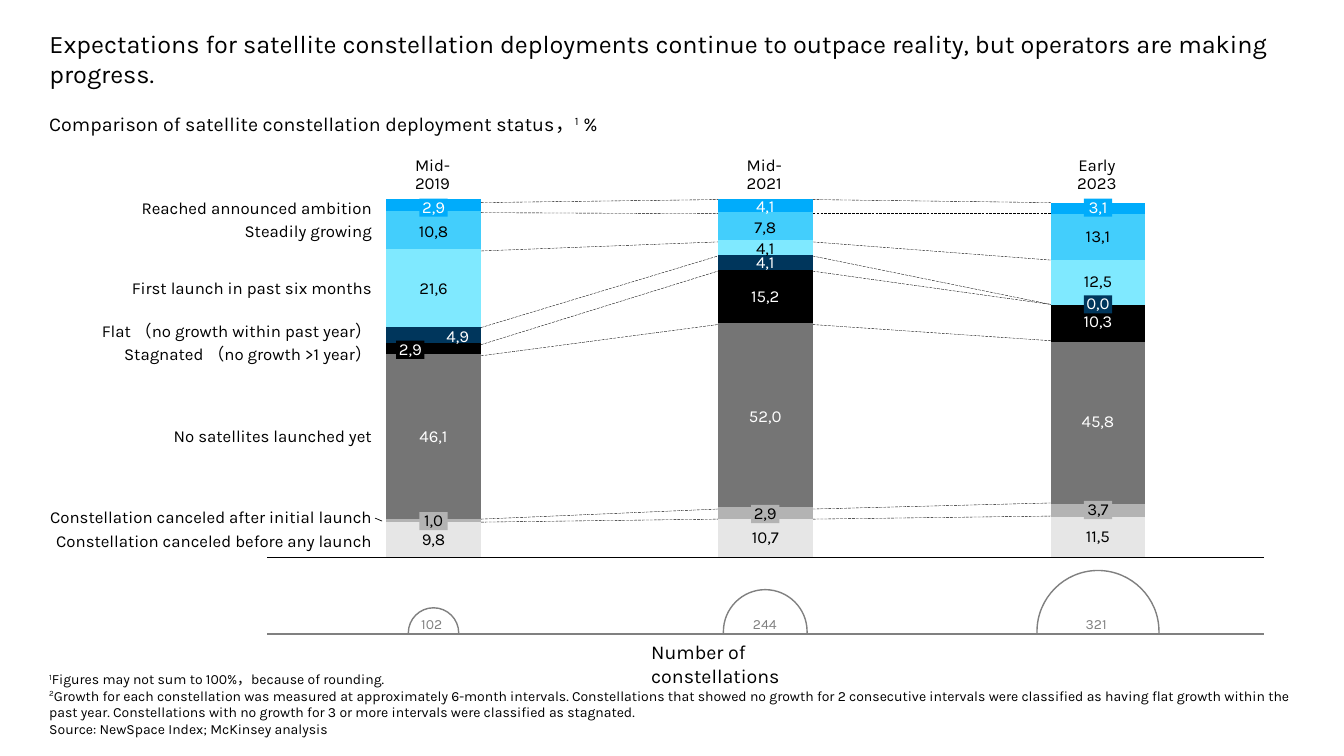
"""Build the slide on satellite constellation deployment status."""
from typing import NamedTuple

from lxml.etree import SubElement
from pptx import Presentation
from pptx.chart.data import CategoryChartData
from pptx.dml.color import RGBColor
from pptx.enum.chart import XL_CHART_TYPE, XL_TICK_LABEL_POSITION, XL_TICK_MARK
from pptx.enum.dml import MSO_LINE
from pptx.enum.shapes import MSO_CONNECTOR, MSO_SHAPE
from pptx.enum.text import MSO_ANCHOR, MSO_AUTO_SIZE, PP_ALIGN
from pptx.oxml import parse_xml
from pptx.oxml.ns import nsdecls, qn
from pptx.util import Pt

PX = 9144
FONT = "Karla"
BLACK = RGBColor(0, 0, 0)
WHITE = RGBColor(0xFF, 0xFF, 0xFF)
GRAY = RGBColor(0x80, 0x80, 0x80)
BLUE = RGBColor(0x00, 0xAC, 0xFB)
SKY = RGBColor(0x43, 0xCE, 0xFC)
CYAN = RGBColor(0x7F, 0xE9, 0xFF)
NAVY = RGBColor(0x00, 0x36, 0x5C)
DARK_GRAY = RGBColor(0x75, 0x75, 0x75)
SILVER = RGBColor(0xB3, 0xB3, 0xB3)
PALE = RGBColor(0xE6, 0xE6, 0xE6)


class Segment(NamedTuple):
    name: str
    top: int
    color: RGBColor
    ink: RGBColor
    counts: tuple


class Value(NamedTuple):
    text: str
    top: int
    chip: bool = False
    shift: int = 0


class Year(NamedTuple):
    label: str
    center: int
    edges: tuple
    values: tuple
    total: str
    dome_width: int
    dome_top: int


SEGMENTS = (
    Segment("Reached announced ambition", 198, BLUE, WHITE, (6, 8, 6)),
    Segment("Steadily growing", 221, SKY, BLACK, (21, 15, 25)),
    Segment("First launch in past six months", 278, CYAN, BLACK, (42, 8, 24)),
    Segment("Flat （no growth within past year）", 320, NAVY, WHITE, (9, 8, 0)),
    Segment("Stagnated （no growth >1 year）", 343, BLACK, WHITE, (6, 29, 20)),
    Segment("No satellites launched yet", 425, DARK_GRAY, WHITE, (89, 100, 88)),
    Segment("Constellation canceled after initial launch", 505, SILVER, BLACK, (2, 6, 7)),
    Segment("Constellation canceled before any launch", 529, PALE, BLACK, (19, 21, 22)),
)
YEARS = (
    Year("Mid-\v2019", 430, (201, 211, 249, 325, 342, 353, 515, 518),
         (Value("2,9", 197, True), Value("10,8", 221), Value("21,6", 278),
          Value("4,9", 325, shift=24), Value("2,9", 338, True, -23),
          Value("46,1", 425), Value("1,0", 508, True), Value("9,8", 527)),
         "102", 50, 603),
    Year("Mid-\v2021", 759, (198, 212, 240, 254, 269, 322, 505, 515),
         (Value("4,1", 196), Value("7,8", 217), Value("4,1", 238), Value("4,1", 252),
          Value("15,2", 286), Value("52,0", 405), Value("2,9", 501, True),
          Value("10,7", 525)),
         "244", 83, 585),
    Year("Early\v2023", 1089, (201, 212, 258, 302, 302, 338, 499, 512),
         (Value("3,1", 197, True), Value("13,1", 226), Value("12,5", 271),
          Value("0,0", 293, True), Value("10,3", 311), Value("45,8", 410),
          Value("3,7", 497, True), Value("11,5", 524)),
         "321", 121, 566),
)
NOTES = (
    (("1", True), ("Figures may not sum to 100%，because of rounding.", False)),
    (("2", True), ("Growth for each constellation was measured at approximately 6-month "
                   "intervals. Constellations that showed no growth for 2 consecutive "
                   "intervals were classified as having flat growth within the past year. "
                   "Constellations with no growth for 3 or more intervals were classified "
                   "as stagnated.", False)),
    (("Source: NewSpace Index; McKinsey analysis", False),),
)
LABEL_LEFT, LABEL_WIDTH = 29, 340
HALF_BAR = 47
DOME_BASE = 629
ARC_HANDLE = 0.55


def emu(*lengths):
    """Turn px lengths into EMU."""
    return [round(length * PX) for length in lengths]


def style_span(span, size, color):
    """Format one run."""
    span.font.name = FONT
    span.font.size = Pt(size)
    span.font.color.rgb = color


def add_rich_text(page, bounds, paragraphs, size):
    """Add a wrapping box of paragraphs made of (text, raised) runs."""
    frame = page.shapes.add_textbox(*emu(*bounds)).text_frame
    frame.word_wrap = True
    for index, spans in enumerate(paragraphs):
        para = frame.add_paragraph() if index else frame.paragraphs[0]
        for text, raised in spans:
            span = para.add_run()
            span.text = text
            style_span(span, size, BLACK)
            if raised:
                span.font._element.set("baseline", "30000")


def add_label(page, bounds, text, align=PP_ALIGN.CENTER, color=BLACK, fill=None,
              anchor=MSO_ANCHOR.MIDDLE):
    """Add a tight chart label, on a filled chip if a fill is given."""
    if fill is None:
        box = page.shapes.add_textbox(*emu(*bounds))
    else:
        box = page.shapes.add_shape(MSO_SHAPE.RECTANGLE, *emu(*bounds))
        box.shadow.inherit = False
        box.fill.solid()
        box.fill.fore_color.rgb = fill
        box.line.fill.background()
    frame = box.text_frame
    frame.word_wrap = False
    frame.vertical_anchor = anchor
    frame.margin_left = frame.margin_right = 0
    frame.margin_top = frame.margin_bottom = 0
    frame.text = text
    para = frame.paragraphs[0]
    para.alignment = align
    para.line_spacing = 0.9
    for span in para.runs:
        style_span(span, 12, color)


def add_line(page, start, end, width, color=BLACK, dash=None):
    """Add a straight line without shadow."""
    line = page.shapes.add_connector(MSO_CONNECTOR.STRAIGHT, *emu(*start, *end))
    line.line.color.rgb = color
    line.line.width = Pt(width)
    if dash is not None:
        line.line.dash_style = dash
    SubElement(line._element.spPr, qn("a:effectLst"))


def bend(segment, *points):
    """Turn a straight outline segment into a cubic curve."""
    segment.tag = qn("a:cubicBezTo")
    segment.remove(segment[0])
    for x, y in points:
        SubElement(segment, qn("a:pt"), x=str(round(x * PX)), y=str(round(y * PX)))


def add_dome(page, year):
    """Add a half-circle outline standing on the base line, with its total."""
    radius = year.dome_width / 2
    middle = year.dome_top + radius
    left, right = year.center - radius, year.center + radius
    builder = page.shapes.build_freeform(*emu(left, DOME_BASE))
    corners = ((left, middle), (year.center, year.dome_top), (right, middle),
               (right, DOME_BASE))
    builder.add_line_segments([emu(*corner) for corner in corners], close=True)
    dome = builder.convert_to_shape()
    rise, fall = list(dome._element.iter(qn("a:lnTo")))[1:3]
    near, far = radius * (1 - ARC_HANDLE), radius * (1 + ARC_HANDLE)
    bend(rise, (0, near), (near, 0), (radius, 0))
    bend(fall, (far, 0), (2 * radius, near), (2 * radius, radius))
    dome.shadow.inherit = False
    dome.fill.background()
    dome.line.color.rgb = GRAY
    dome.line.width = Pt(1)
    frame = page.shapes.add_textbox(*emu(year.center - 22, 606, 50, 27)).text_frame
    frame.text = year.total
    frame.word_wrap = False
    style_span(frame.paragraphs[0].runs[0], 10, GRAY)


def add_status_chart(page):
    """Add the stacked columns."""
    data = CategoryChartData()
    data.categories = ["1", "2", "3"]
    stack = SEGMENTS[::-1]
    for number, segment in enumerate(stack, 1):
        data.add_series(f"Series {number}", segment.counts)
    chart = page.shapes.add_chart(
        XL_CHART_TYPE.COLUMN_STACKED, *emu(256, 189, 1007, 373), data).chart
    chart.has_legend = False
    chart.has_title = False
    chart.font.size = Pt(10)
    chart.font.name = "Noto Sans CJK SC"
    chart.font.color.rgb = BLACK
    years, scale = chart.category_axis, chart.value_axis
    years.tick_label_position = XL_TICK_LABEL_POSITION.NONE
    years.major_tick_mark = years.minor_tick_mark = XL_TICK_MARK.NONE
    years.format.line.color.rgb = BLACK
    years.format.line.width = Pt(0.75)
    scale.has_major_gridlines = False
    scale.minimum_scale, scale.maximum_scale = 0, 194
    scale.visible = False
    plot = chart.plots[0]
    plot.gap_width, plot.overlap, plot.vary_by_categories = 250, 100, False
    for series, segment in zip(plot.series, stack):
        series.format.fill.solid()
        series.format.fill.fore_color.rgb = segment.color
    area = chart._chartSpace.chart.plotArea
    for layout in area.findall(qn("c:layout")):
        area.remove(layout)
    places = "".join(f'<c:{key} val="{value}"/>' for key, value in (
        ("layoutTarget", "inner"), ("xMode", "edge"), ("yMode", "edge"),
        ("x", 0.009), ("y", 0.024), ("w", 0.982), ("h", 0.952)))
    area.insert(0, parse_xml(f'<c:layout {nsdecls("c")}><c:manualLayout>{places}'
                             '</c:manualLayout></c:layout>'))


def set_title(page, text):
    """Place and format the title."""
    title = page.shapes.title
    title.left, title.top, title.width, title.height = emu(39, 23, 1253, 71)
    frame = title.text_frame
    frame.text = text
    frame.auto_size = MSO_AUTO_SIZE.NONE
    frame.vertical_anchor = MSO_ANCHOR.TOP
    frame.paragraphs[0].alignment = PP_ALIGN.LEFT
    style_span(frame.paragraphs[0].runs[0], 18, BLACK)


def main():
    """Build and save the deck."""
    deck = Presentation()
    deck.slide_width, deck.slide_height = emu(1333, 750)
    page = deck.slides.add_slide(deck.slide_layouts[5])
    set_title(page, "Expectations for satellite constellation deployments continue to "
                    "outpace reality, but operators are making progress.")
    add_rich_text(page, (39, 106, 567, 34), (
        (("Comparison of satellite constellation deployment status，", False),
         ("1", True), (" %", False)),), 14)
    for before, after in zip(YEARS, YEARS[1:]):
        for start, end in zip(before.edges, after.edges):
            add_line(page, (before.center + HALF_BAR, start),
                     (after.center - HALF_BAR, end), 0.25, dash=MSO_LINE.LONG_DASH)
    add_status_chart(page)
    add_line(page, (372, 514), (379, 517), 0.5)
    for segment in SEGMENTS:
        add_label(page, (LABEL_LEFT, segment.top, LABEL_WIDTH, 18), segment.name,
                  PP_ALIGN.RIGHT)
    add_line(page, (265, DOME_BASE), (1254, DOME_BASE), 1, GRAY)
    for year in YEARS:
        add_label(page, (year.center - 21, 156, 40, 36), year.label,
                  anchor=MSO_ANCHOR.BOTTOM)
        for value, segment in zip(year.values, SEGMENTS):
            width = 28 if len(value.text) == 3 else 38
            add_label(page, (year.center + value.shift - width // 2, value.top, width, 18),
                      value.text, color=segment.ink,
                      fill=segment.color if value.chip else None)
        add_dome(page, year)
    add_rich_text(page, (39, 660, 1253, 77), NOTES, 10)
    add_rich_text(page, (636, 630, 240, 34), ((("Number of constellations", False),),), 14)
    deck.save("out.pptx")


if __name__ == "__main__":
    main()
